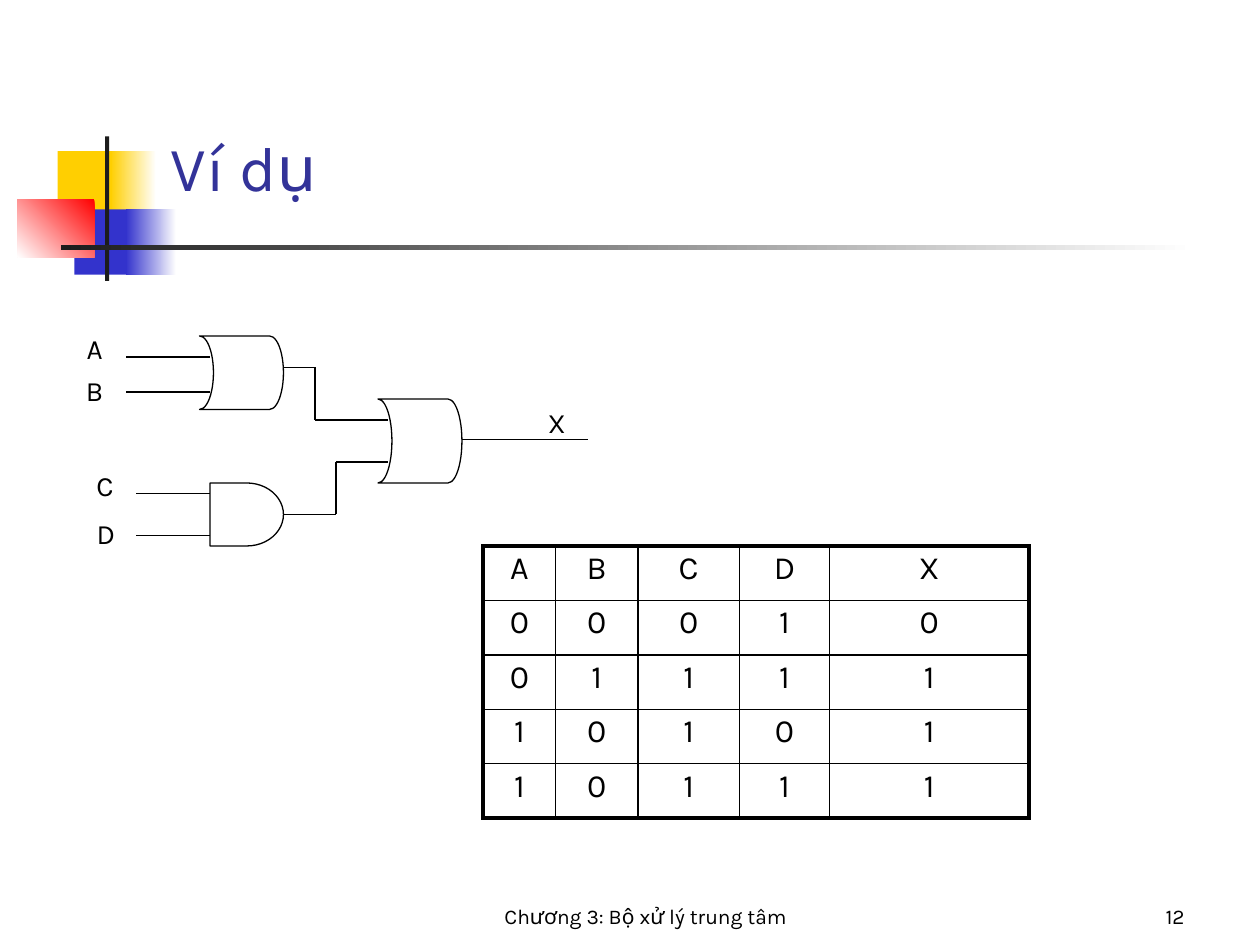
from lxml import etree
from pptx import Presentation
from pptx.dml.color import RGBColor
from pptx.enum.shapes import MSO_CONNECTOR, MSO_SHAPE
from pptx.enum.text import MSO_ANCHOR, PP_ALIGN
from pptx.oxml.ns import qn
from pptx.util import Pt

RECT = MSO_SHAPE.RECTANGLE
OR = MSO_SHAPE.FLOWCHART_STORED_DATA
AND = MSO_SHAPE.FLOWCHART_DELAY
LINE = MSO_CONNECTOR.STRAIGHT
LEFT, MID, RIGHT = PP_ALIGN.LEFT, PP_ALIGN.CENTER, PP_ALIGN.RIGHT
TOP, BASE = MSO_ANCHOR.TOP, MSO_ANCHOR.BOTTOM
BLACK, WHITE = "000000", "FFFFFF"


def paint(color, code):
    color.rgb = RGBColor.from_string(code)


def write(frame, text, size, align, code=BLACK):
    para = frame.paragraphs[0]
    para.alignment = align
    run = para.add_run()
    run.text = text
    run.font.name = "Karla"
    run.font.size = Pt(size)
    paint(run.font.color, code)


deck = Presentation()
deck.slide_width, deck.slide_height = Pt(720), Pt(540)
slide = deck.slides.add_slide(deck.slide_layouts[6])
shapes = slide.shapes

blocks = [
    (33, 86.4, 34.6, 37.4, ["FFCF01"], 0),
    (63.2, 86.4, 26, 37.4, [WHITE, "FFCF01"], 180),
    (42.5, 119.6, 33, 37.4, ["3333CC"], 0),
    (72, 119.6, 28.8, 37.4, [WHITE, "3333CC"], 180),
    (10, 113.8, 44, 33.2, ["FF0000", WHITE], 225),
    (60, 78, 2.4, 82.6, ["1C1C1C"], 0),
    (34.8, 140.2, 648, 2.4, [WHITE, "1C1C1C"], 180),
]
for x, y, w, h, codes, angle in blocks:
    block = shapes.add_shape(RECT, Pt(x), Pt(y), Pt(w), Pt(h))
    block.shadow.inherit = False
    block.line.fill.background()
    if angle:
        block.fill.gradient()
        block.fill.gradient_angle = angle
        for stop, code in zip(block.fill.gradient_stops, codes):
            paint(stop.color, code)
    else:
        block.fill.solid()
        paint(block.fill.fore_color, codes[0])

gates = [
    (OR, 114, 192, 48, 42),
    (OR, 216, 228, 48, 48),
    (AND, 120, 276, 42, 36),
]
for kind, x, y, w, h in gates:
    gate = shapes.add_shape(kind, Pt(x), Pt(y), Pt(w), Pt(h))
    gate.shadow.inherit = False
    gate.fill.solid()
    paint(gate.fill.fore_color, WHITE)
    paint(gate.line.color, BLACK)
    gate.line.width = Pt(0.75)
    if kind == OR:
        gate.element.spPr.find(qn("a:xfrm")).set("flipH", "1")

wires = [
    [(72, 204), (120, 204)],
    [(72, 224), (120, 224)],
    [(78, 282), (120, 282)],
    [(78, 306), (120, 306)],
    [(162, 210), (180, 210), (180, 240), (222, 240)],
    [(162, 294), (192, 294), (192, 264), (222, 264)],
    [(264, 251), (336, 251)],
]
for wire in wires:
    for (x1, y1), (x2, y2) in zip(wire, wire[1:]):
        part = shapes.add_connector(LINE, Pt(x1), Pt(y1), Pt(x2), Pt(y2))
        paint(part.line.color, BLACK)
        part.line.width = Pt(0.75)
        etree.SubElement(part.element.spPr, qn("a:effectLst"))

labels = [
    ("Ví dụ", 90.5, 72, 613.5, 48, 36, LEFT, BASE, "333399"),
    ("A", 42, 186, 24, 26.6, 16, MID, TOP, BLACK),
    ("B", 42, 210, 24, 26.6, 16, MID, TOP, BLACK),
    ("C", 48, 264, 24, 26.6, 16, MID, TOP, BLACK),
    ("D", 47.5, 291.6, 26, 26.6, 16, MID, TOP, BLACK),
    ("X", 306, 228, 24, 26.6, 16, MID, TOP, BLACK),
    ("Chương 3: Bộ xử lý trung tâm", 150, 498, 438, 36, 12, MID, BASE, BLACK),
    ("12", 600, 498, 84, 36, 12, RIGHT, BASE, BLACK),
]
for text, x, y, w, h, size, align, anchor, code in labels:
    frame = shapes.add_textbox(Pt(x), Pt(y), Pt(w), Pt(h)).text_frame
    frame.word_wrap = len(text) > 1
    frame.vertical_anchor = anchor
    write(frame, text, size, align, code)

rows = ["ABCDX", "00010", "01111", "10101", "10111"]
widths = [41.5, 47, 58, 51.5, 114]
last = len(rows) - 1
high = 31.1
table = shapes.add_table(
    len(rows), len(widths), Pt(276), Pt(312), Pt(sum(widths)), Pt(high * len(rows))
).table
table.first_row = table.horz_banding = False
for col, width in zip(table.columns, widths):
    col.width = Pt(width)
for r, row in enumerate(rows):
    table.rows[r].height = Pt(high)
    for c, text in enumerate(row):
        cell = table.cell(r, c)
        cell.vertical_anchor = TOP
        write(cell.text_frame, text, 18.5, MID)
        cell.text_frame.paragraphs[0].line_spacing = 0.9
        props = cell._tc.get_or_add_tcPr()
        sides = {"L": c == 0, "R": c == last, "T": r == 0, "B": r == last}
        for side, outer in sides.items():
            edge = etree.SubElement(props, qn("a:ln" + side))
            edge.set("w", str(Pt(2.25 if outer else 1)))
            fill = etree.SubElement(edge, qn("a:solidFill"))
            etree.SubElement(fill, qn("a:srgbClr")).set("val", BLACK)
        cell.fill.background()

deck.save("out.pptx")
